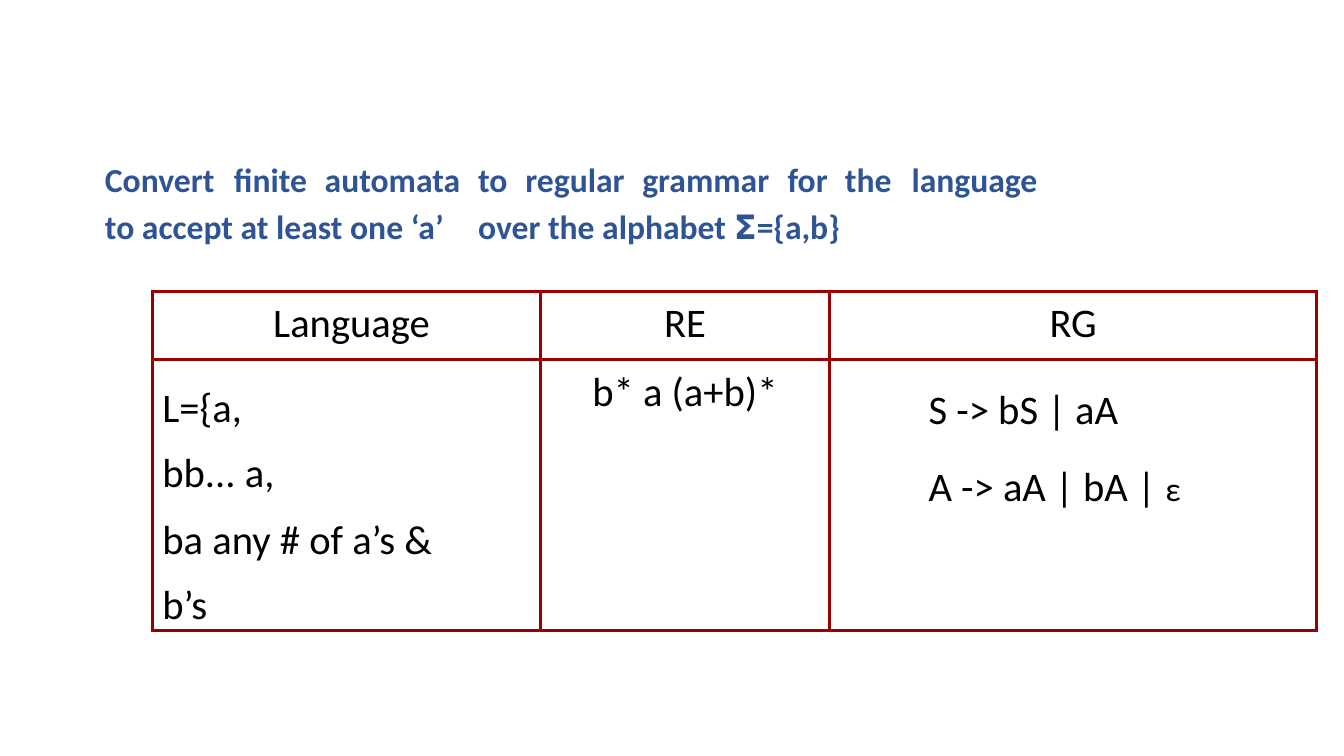
from dataclasses import dataclass

from lxml.etree import SubElement
from pptx import Presentation
from pptx.dml.color import RGBColor
from pptx.enum.text import MSO_ANCHOR, MSO_AUTO_SIZE, PP_ALIGN
from pptx.oxml import parse_xml
from pptx.oxml.ns import nsdecls, qn
from pptx.util import Inches, Length, Pt

SLIDE_WIDTH = Inches(13.33)
SLIDE_HEIGHT = Inches(7.5)
NAVY = "2F5496"
MAROON = "990000"
BLACK = "000000"
TITLE_TABS = [9.6, 16.35, 23.71, 27.76, 31.28, 39.98, 50.79, 55.06]
COLUMN_WIDTHS = [28.88, 21.53, 36.23]
ROW_HEIGHTS = [9.07, 28.53]


@dataclass
class Line:
    text: str
    indent: float = 0
    align: PP_ALIGN = PP_ALIGN.LEFT
    leading: float | None = None
    before: float = 0
    small_suffix: str = ""


@dataclass
class Entry:
    row: int
    column: int
    lines: list[Line]
    top: float = 1.07


ENTRIES = [
    Entry(0, 0, [Line("Language", indent=9)]),
    Entry(0, 1, [Line("RE", align=PP_ALIGN.CENTER)]),
    Entry(0, 2, [Line("RG", align=PP_ALIGN.CENTER)]),
    Entry(1, 0, [
        Line("L={a,", indent=0.75, leading=46.6),
        Line("bb... a,", indent=0.75, leading=46.5),
        Line("ba any # of a’s &\nb’s", indent=0.75, leading=46.5, before=1.6),
    ]),
    Entry(1, 1, [Line("b* a (a+b)*", align=PP_ALIGN.CENTER)]),
    Entry(1, 2, [
        Line("S -> bS | aA", indent=7.35, leading=46.5),
        Line("A -> aA | bA | ", indent=7.35, leading=46.5, before=9.2,
             small_suffix="ε"),
    ], top=1.33),
]


def across(columns: float) -> Length:
    return Length(round(SLIDE_WIDTH * columns / 100))


def down(rows: float) -> Length:
    return Length(round(SLIDE_HEIGHT * rows / 100))


def color(value: str) -> RGBColor:
    return RGBColor.from_string(value)


def write(paragraph, text: str, *, size: float, fill: str = BLACK,
          bold: bool = False, font: str = "Calibri") -> None:
    for index, piece in enumerate(text.split("\n")):
        if index:
            paragraph.add_line_break()
        run = paragraph.add_run()
        run.text = piece
        run.font.name = font
        run.font.size = Pt(size)
        run.font.bold = bold
        run.font.color.rgb = color(fill)


def add_title(slide) -> None:
    title = slide.shapes.title
    title.left, title.top = across(7.73), down(20.13)
    title.width, title.height = across(72.84), down(12.13)
    frame = title.text_frame
    frame.word_wrap = True
    frame.auto_size = MSO_AUTO_SIZE.SHAPE_TO_FIT_TEXT
    frame.vertical_anchor = MSO_ANCHOR.TOP
    frame.margin_left = frame.margin_right = frame.margin_bottom = 0
    frame.margin_top = down(0.13)
    paragraph = frame.paragraphs[0]
    paragraph.alignment = PP_ALIGN.LEFT
    paragraph.line_spacing = 1.15
    properties = paragraph._p.get_or_add_pPr()
    properties.set("marL", str(across(0.08)))
    tabs = SubElement(properties, qn("a:tabLst"))
    for position in TITLE_TABS:
        SubElement(tabs, qn("a:tab"), pos=str(across(position)), algn="l")
    style = {"size": 24, "fill": NAVY, "bold": True}
    write(paragraph, "Convert\tfinite\tautomata\tto\tregular\tgrammar\tfor\tthe\tlanguage\n"
          "to accept at least one ‘a’\tover the alphabet ", **style)
    write(paragraph, "𝝨", font="Arial", **style)
    write(paragraph, "={a,b}", **style)


def outline(cell) -> None:
    properties = cell._tc.get_or_add_tcPr()
    for index, side in enumerate(["lnL", "lnR", "lnT", "lnB"]):
        properties.insert(index, parse_xml(
            f'<a:{side} {nsdecls("a")} w="{Pt(2.25)}"><a:solidFill>'
            f'<a:srgbClr val="{MAROON}"/></a:solidFill></a:{side}>'))


def fill_cell(cell, entry: Entry) -> None:
    cell.fill.background()
    cell.margin_left = cell.margin_right = cell.margin_bottom = 0
    cell.margin_top = down(entry.top)
    outline(cell)
    frame = cell.text_frame
    for index, line in enumerate(entry.lines):
        paragraph = frame.add_paragraph() if index else frame.paragraphs[0]
        paragraph.alignment = line.align
        if line.leading:
            paragraph.line_spacing = Pt(line.leading)
        if line.before:
            paragraph.space_before = Pt(line.before)
        paragraph._p.get_or_add_pPr().set("marL", str(across(line.indent)))
        write(paragraph, line.text, size=29)
        if line.small_suffix:
            write(paragraph, line.small_suffix, size=24)


def add_grammar_table(slide) -> None:
    table = slide.shapes.add_table(
        len(ROW_HEIGHTS), len(COLUMN_WIDTHS), across(11.33), down(38.53),
        across(sum(COLUMN_WIDTHS)), down(sum(ROW_HEIGHTS))).table
    table.first_row = table.horz_banding = False
    for column, width in zip(table.columns, COLUMN_WIDTHS):
        column.width = across(width)
    for row, height in zip(table.rows, ROW_HEIGHTS):
        row.height = down(height)
    for entry in ENTRIES:
        fill_cell(table.cell(entry.row, entry.column), entry)


def main() -> None:
    presentation = Presentation()
    presentation.slide_width = SLIDE_WIDTH
    presentation.slide_height = SLIDE_HEIGHT
    slide = presentation.slides.add_slide(presentation.slide_layouts[5])
    add_title(slide)
    add_grammar_table(slide)
    presentation.save("out.pptx")


if __name__ == "__main__":
    main()
